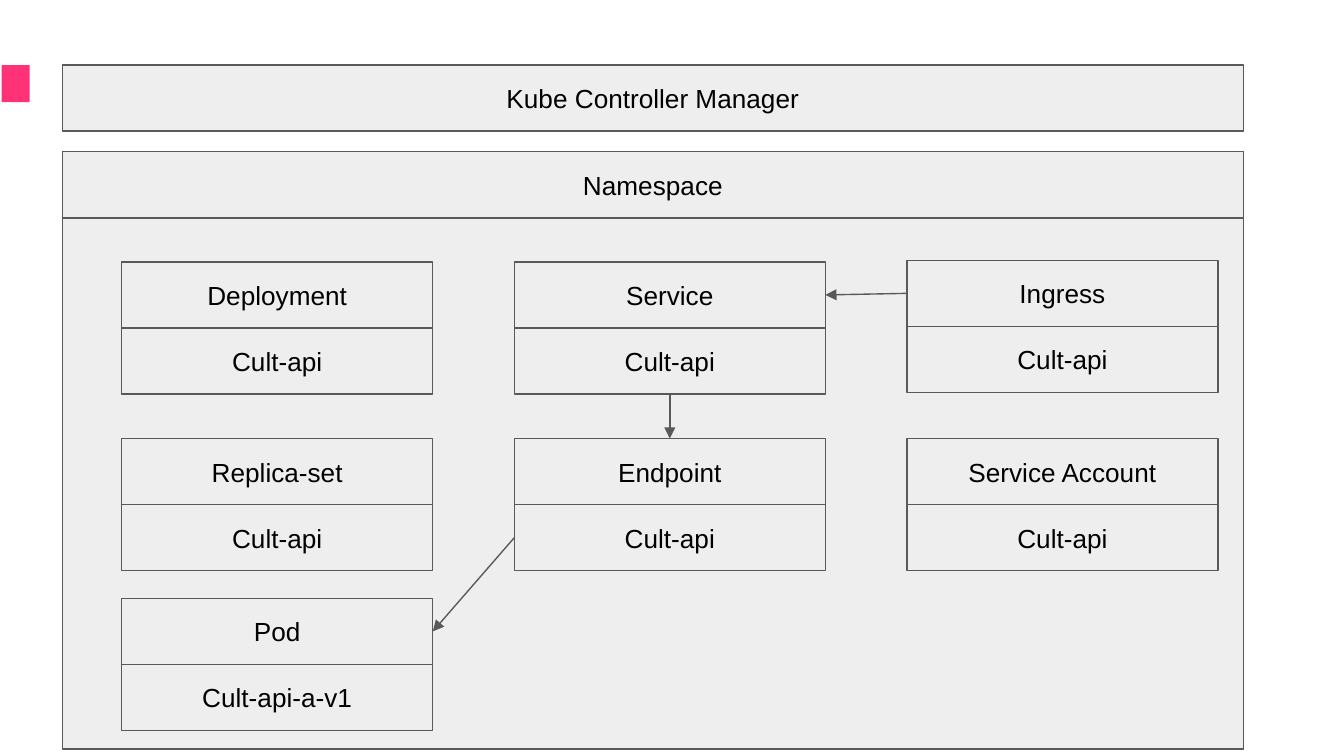
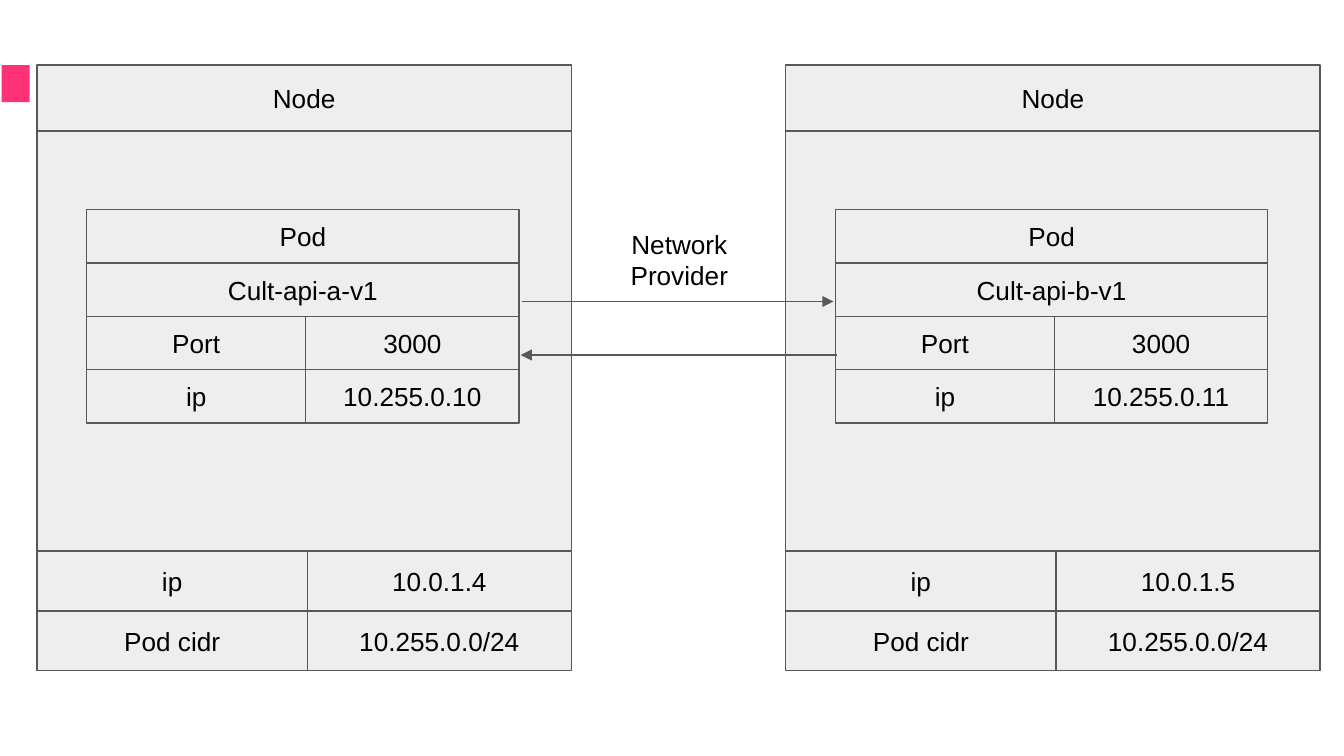
from dataclasses import dataclass

from lxml.etree import SubElement
from pptx import Presentation
from pptx.dml.color import RGBColor
from pptx.enum.shapes import MSO_CONNECTOR, MSO_SHAPE
from pptx.enum.text import MSO_ANCHOR, PP_ALIGN
from pptx.oxml.ns import qn
from pptx.util import Cm, Pt


@dataclass(frozen=True)
class Theme:
    accent: RGBColor = RGBColor(0xFF, 0x32, 0x78)
    panel: RGBColor = RGBColor(0xEE, 0xEE, 0xEE)
    outline: RGBColor = RGBColor(0x59, 0x59, 0x59)
    ink: RGBColor = RGBColor(0, 0, 0)
    font: str = "Arial"
    text_size: Pt = Pt(14)
    line_width: Pt = Pt(0.75)
    inset: Cm = Cm(0.25)


TOP = 1.23
BAR_HEIGHT = 1.25
TOP_SIDE, LEFT_SIDE, BOTTOM_SIDE, RIGHT_SIDE = range(4)


class Deck:
    """Draws on the current slide; every length passed in is in centimetres."""

    def __init__(self, theme):
        self.theme = theme
        self.prs = Presentation()
        self.prs.slide_width, self.prs.slide_height = Cm(25.4), Cm(14.29)
        self.slide = None

    def new_slide(self):
        self.slide = self.prs.slides.add_slide(self.prs.slide_layouts[6])
        self.rect(self.slide, 0.03, TOP, 0.53, 0.7, self.theme.accent)

    def group(self):
        return self.slide.shapes.add_group_shape()

    def rect(self, parent, left, top, width, height, fill):
        rect = parent.shapes.add_shape(
            MSO_SHAPE.RECTANGLE, Cm(left), Cm(top), Cm(width), Cm(height))
        rect.shadow.inherit = False
        rect.fill.solid()
        rect.fill.fore_color.rgb = fill
        rect.line.fill.background()
        return rect

    def box(self, parent, left, top, width, height, text=""):
        box = self.rect(parent, left, top, width, height, self.theme.panel)
        box.line.color.rgb = self.theme.outline
        box.line.width = self.theme.line_width
        if text:
            self.set_text(box.text_frame, text, MSO_ANCHOR.MIDDLE)
        return box

    def row(self, parent, left, top, height, cells):
        """Places (text, width) boxes side by side."""
        for text, width in cells:
            self.box(parent, left, top, width, height, text)
            left += width

    def label(self, left, top, width, height, text):
        label = self.slide.shapes.add_textbox(
            Cm(left), Cm(top), Cm(width), Cm(height))
        self.set_text(label.text_frame, text, MSO_ANCHOR.TOP)

    def set_text(self, frame, text, anchor):
        frame.word_wrap = True
        frame.vertical_anchor = anchor
        frame.margin_left = frame.margin_right = self.theme.inset
        frame.margin_top = frame.margin_bottom = self.theme.inset
        paragraph = frame.paragraphs[0]
        paragraph.alignment = PP_ALIGN.CENTER
        run = paragraph.add_run()
        run.text = text
        run.font.name = self.theme.font
        run.font.size = self.theme.text_size
        run.font.color.rgb = self.theme.ink

    def arrow(self, parent, start=(0, 0), end=(0, 0)):
        arrow = parent.shapes.add_connector(
            MSO_CONNECTOR.STRAIGHT, *(Cm(value) for value in (*start, *end)))
        arrow.line.color.rgb = self.theme.outline
        arrow.line.width = self.theme.line_width
        properties = arrow._element.spPr
        SubElement(properties.find(qn("a:ln")), qn("a:tailEnd"), type="triangle")
        SubElement(properties, qn("a:effectLst"))
        return arrow

    def join(self, source, source_side, target, target_side):
        arrow = self.arrow(self.slide)
        arrow.begin_connect(source, source_side)
        arrow.end_connect(target, target_side)

    def resource(self, left, top, kind, name):
        """A resource card: its kind above its name; returns both boxes."""
        card, width = self.group(), 5.88
        return (self.box(card, left, top, width, BAR_HEIGHT, kind),
                self.box(card, left, top + BAR_HEIGHT, width, BAR_HEIGHT, name))

    def node(self, left, pod_name, pod_ip, node_ip):
        """A node with its pod in the middle and its addresses at the foot."""
        node, width, body_height = self.group(), 10.1, 7.94
        body_top = TOP + BAR_HEIGHT
        self.box(node, left, TOP, width, BAR_HEIGHT, "Node")
        self.box(node, left, body_top, width, body_height)

        pod_width, pod_key, pod_row = 8.17, 4.14, 1.01
        pod_value = pod_width - pod_key
        pod_rows = [
            [("Pod", pod_width)],
            [(pod_name, pod_width)],
            [("Port", pod_key), ("3000", pod_value)],
            [("ip", pod_key), (pod_ip, pod_value)],
        ]
        for index, cells in enumerate(pod_rows):
            self.row(node, left + 0.94, 3.96 + index * pod_row, pod_row, cells)

        foot_key, foot_row = 5.11, 1.13
        foot = [("ip", node_ip), ("Pod cidr", "10.255.0.0/24")]
        for index, (key, value) in enumerate(foot):
            self.row(node, left, body_top + body_height + index * foot_row, foot_row,
                     [(key, foot_key), (value, width - foot_key)])


def namespace_slide(deck):
    deck.new_slide()
    left, width, namespace_top = 1.18, 22.32, 2.87
    deck.box(deck.slide, left, TOP, width, BAR_HEIGHT, "Kube Controller Manager")
    deck.box(deck.slide, left, namespace_top, width, BAR_HEIGHT, "Namespace")
    deck.box(deck.slide, left, namespace_top + BAR_HEIGHT, width, 10.04)

    first, second, third = (2.3 + column * 7.42 for column in range(3))
    upper, middle, lower = 4.95, 8.29, 11.31
    deck.resource(first, upper, "Deployment", "Cult-api")
    ingress, _ = deck.resource(third, upper - 0.03, "Ingress", "Cult-api")
    service, service_name = deck.resource(second, upper, "Service", "Cult-api")
    endpoint, endpoint_name = deck.resource(second, middle, "Endpoint", "Cult-api")
    deck.resource(first, middle, "Replica-set", "Cult-api")
    deck.resource(third, middle, "Service Account", "Cult-api")
    pod, _ = deck.resource(first, lower, "Pod", "Cult-api-a-v1")

    deck.join(endpoint_name, LEFT_SIDE, pod, RIGHT_SIDE)
    deck.join(ingress, LEFT_SIDE, service, RIGHT_SIDE)
    deck.join(service_name, BOTTOM_SIDE, endpoint, TOP_SIDE)


def network_slide(deck):
    deck.new_slide()
    deck.node(0.7, "Cult-api-a-v1", "10.255.0.10", "10.0.1.4")
    deck.node(14.85, "Cult-api-b-v1", "10.255.0.11", "10.0.1.5")
    traffic = deck.group()
    deck.arrow(traffic, (9.86, 5.7), (15.75, 5.7))
    deck.arrow(traffic, (15.82, 6.71), (9.84, 6.71))
    deck.label(11, 4.06, 3.68, 1.63, "Network Provider")


def main():
    deck = Deck(Theme())
    namespace_slide(deck)
    network_slide(deck)
    deck.prs.save("out.pptx")


if __name__ == "__main__":
    main()
